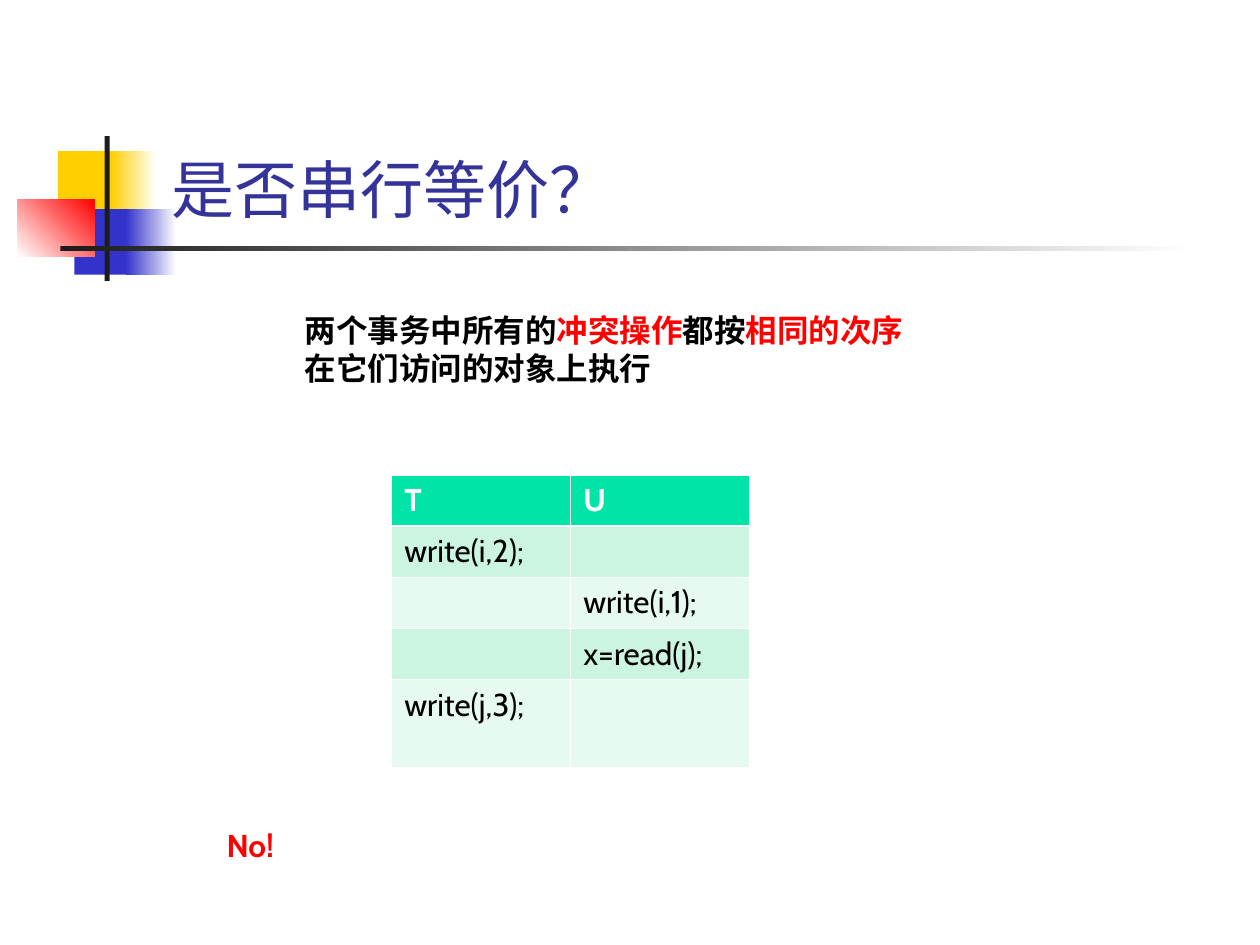
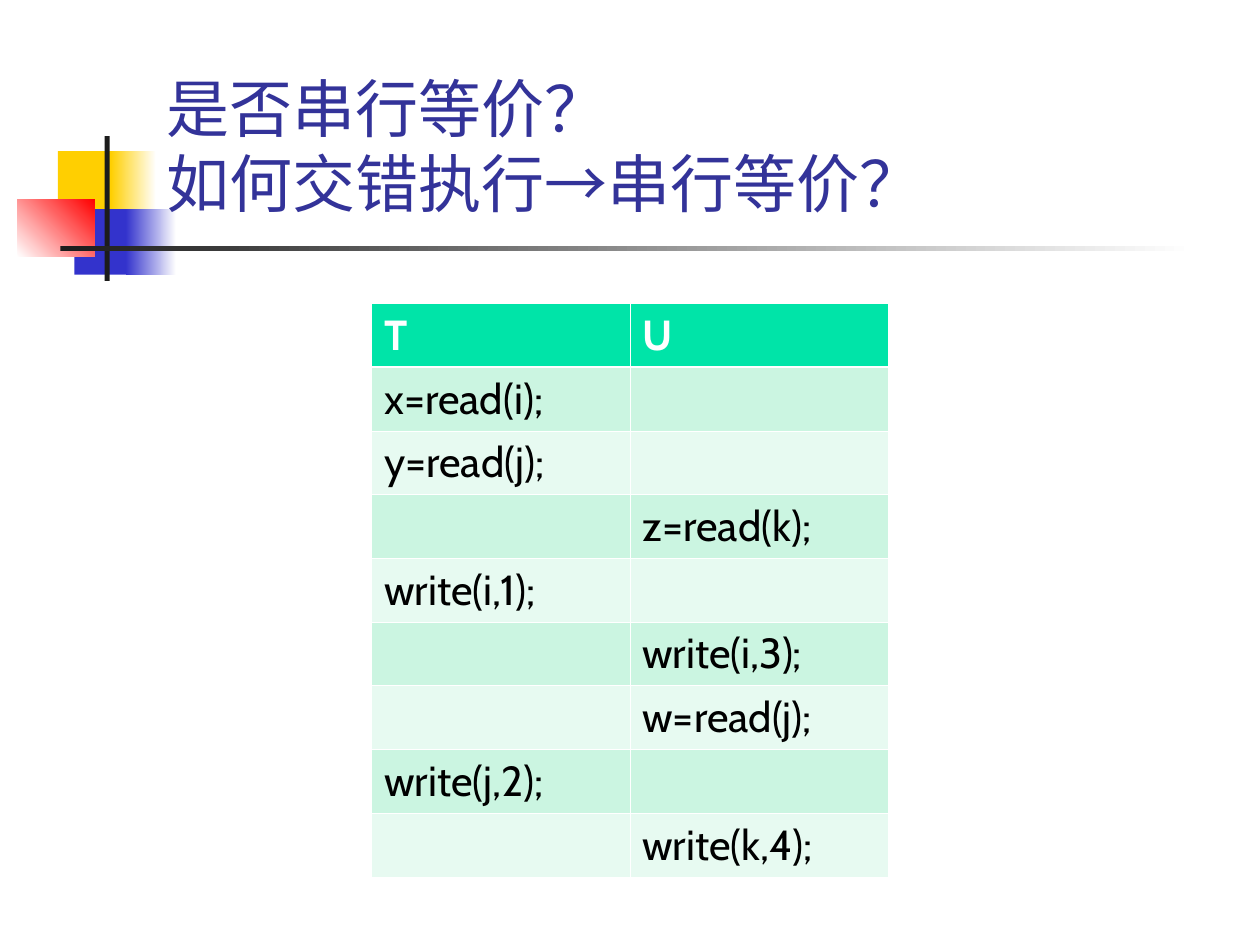
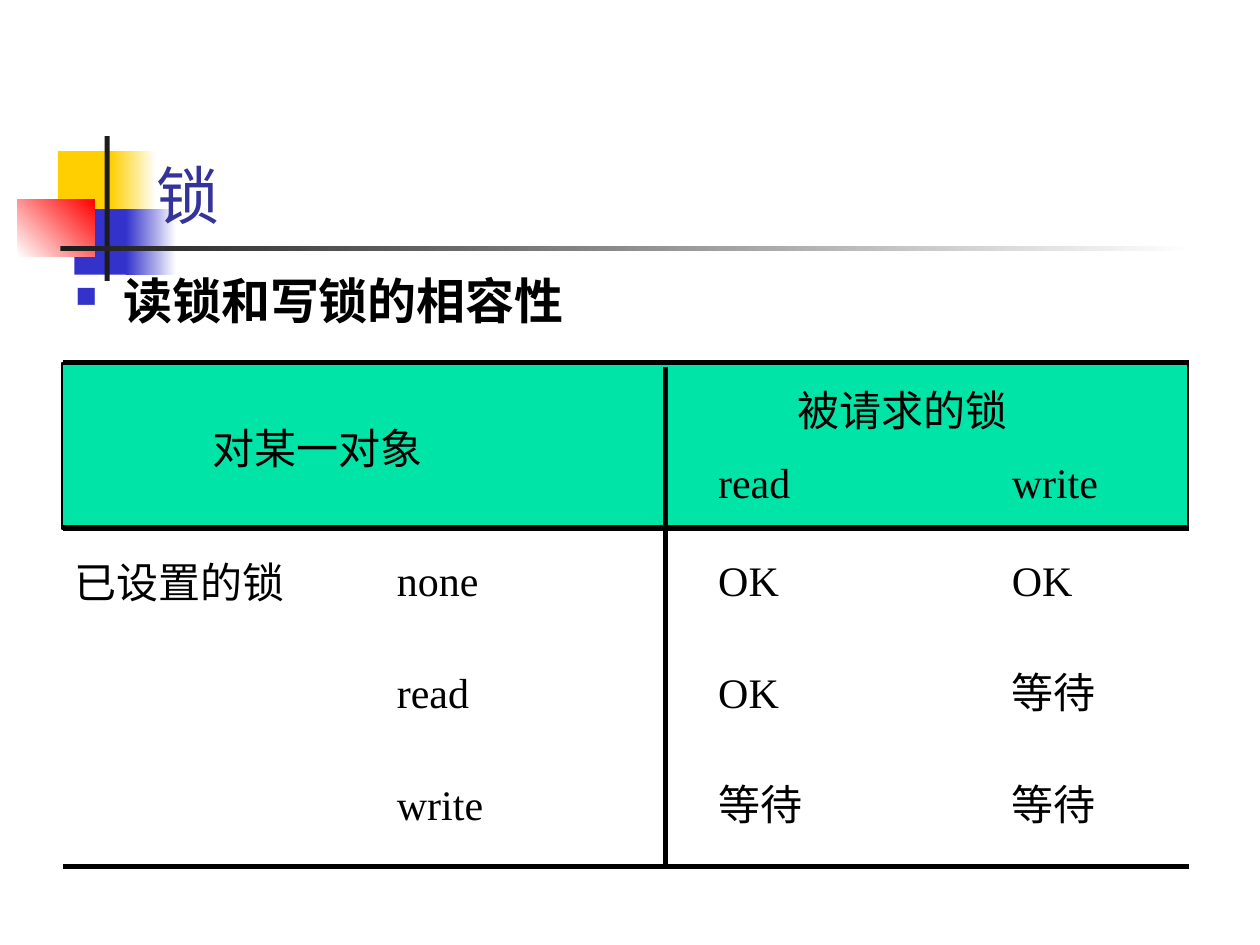
from lxml import etree
from pptx import Presentation
from pptx.dml.color import RGBColor
from pptx.enum.shapes import MSO_CONNECTOR, MSO_SHAPE
from pptx.enum.text import MSO_ANCHOR, MSO_AUTO_SIZE
from pptx.oxml.ns import qn
from pptx.util import Inches, Pt

BLACK = RGBColor(0x00, 0x00, 0x00)
WHITE = RGBColor(0xFF, 0xFF, 0xFF)
RED = RGBColor(0xFF, 0x00, 0x00)
GOLD = RGBColor(0xFF, 0xCF, 0x01)
BLUE = RGBColor(0x33, 0x33, 0xCC)
NAVY = RGBColor(0x33, 0x33, 0x99)
DARK = RGBColor(0x1C, 0x1C, 0x1C)
GREEN = RGBColor(0x00, 0xE4, 0xA8)
MINT = RGBColor(0xCB, 0xF5, 0xE1)
PALE = RGBColor(0xE7, 0xFA, 0xF1)

CABIN = "Cabin"
TIMES = "Times New Roman"
WIDTHS = {"read": 0.6, "write": 0.72, "none": 0.68, "OK": 0.52, "等待": 0.69}


def style(font, name, size, color, bold=False):
    font.name = name
    font.size = Pt(size)
    font.color.rgb = color
    font.bold = bold


def add_box(slide, left, top, width, height, fill, end=None, angle=0):
    box = slide.shapes.add_shape(MSO_SHAPE.RECTANGLE, Inches(left), Inches(top),
                                 Inches(width), Inches(height))
    box.shadow.inherit = False
    box.line.fill.background()
    if end is None:
        box.fill.solid()
        box.fill.fore_color.rgb = fill
    else:
        box.fill.gradient()
        box.fill.gradient_angle = angle
        for stop, color in zip(box.fill.gradient_stops, (fill, end)):
            stop.color.rgb = color
    return box


def add_text(slide, left, top, width, height, wrap=True, inset=True):
    box = slide.shapes.add_textbox(Inches(left), Inches(top), Inches(width), Inches(height))
    frame = box.text_frame
    frame.word_wrap = wrap
    frame.auto_size = MSO_AUTO_SIZE.SHAPE_TO_FIT_TEXT
    if not inset:
        frame.margin_left = frame.margin_right = 0
        frame.margin_top = frame.margin_bottom = 0
    return frame


def add_runs(para, parts, size, bold=False):
    for text, name, color in parts:
        for row, line in enumerate(text.split("\n")):
            if row:
                para.add_line_break()
            run = para.add_run()
            run.text = line
            style(run.font, name, size, color, bold)


def add_title(slide, left, top, width, height, *parts):
    frame = add_text(slide, left, top, width, height)
    frame.auto_size = MSO_AUTO_SIZE.NONE
    frame.vertical_anchor = MSO_ANCHOR.BOTTOM
    add_runs(frame.paragraphs[0], [(text, name, NAVY) for text, name in parts], 36)


def add_slide(deck):
    slide = deck.slides.add_slide(deck.slide_layouts[6])
    add_box(slide, 0.46, 1.2, 0.48, 0.52, GOLD)
    add_box(slide, 0.88, 1.2, 0.36, 0.52, GOLD, WHITE)
    add_box(slide, 0.59, 1.66, 0.46, 0.52, BLUE)
    add_box(slide, 1, 1.66, 0.4, 0.52, BLUE, WHITE)
    add_box(slide, 0.14, 1.58, 0.61, 0.46, WHITE, RED, 45)
    add_box(slide, 0.83, 1.08, 0.04, 1.15, DARK)
    add_box(slide, 0.48, 1.95, 9, 0.04, DARK, WHITE)
    return slide


def set_edges(cell, row):
    props = cell._tc.get_or_add_tcPr()
    thick = {0: "b", 1: "t"}.get(row)
    for spot, side in enumerate("lrtb"):
        width = 1.47 if side == thick else 0.45
        edge = etree.Element(qn(f"a:ln{side.upper()}"), w=str(Pt(width)))
        fill = etree.SubElement(edge, qn("a:solidFill"))
        etree.SubElement(fill, qn("a:srgbClr"), val=str(WHITE))
        props.insert(spot, edge)


def add_steps(slide, left, top, col, heights, size, steps):
    rows = [("T", "U")] + [(text, "") if who == "T" else ("", text) for who, text in steps]
    table = slide.shapes.add_table(len(rows), 2, Inches(left), Inches(top),
                                   Inches(2 * col), Inches(sum(heights))).table
    for column in table.columns:
        column.width = Inches(col)
    for r, texts in enumerate(rows):
        table.rows[r].height = Inches(heights[r])
        for c, text in enumerate(texts):
            cell = table.cell(r, c)
            cell.fill.solid()
            cell.fill.fore_color.rgb = GREEN if r == 0 else (PALE, MINT)[r % 2]
            set_edges(cell, r)
            if text:
                cell.text_frame.text = text
                style(cell.text_frame.paragraphs[0].runs[0].font, CABIN, size,
                      BLACK if r else WHITE, r == 0)


def add_label(slide, left, top, text):
    width = WIDTHS.get(text, len(text) / 3 + 0.02)
    frame = add_text(slide, left, top, width, 0.4, wrap=False, inset=False)
    frame.text = text
    style(frame.paragraphs[0].runs[0].font, TIMES, 24, BLACK)


def add_rule(slide, x1, y1, x2, y2):
    rule = slide.shapes.add_connector(MSO_CONNECTOR.STRAIGHT, Inches(x1), Inches(y1),
                                      Inches(x2), Inches(y2))
    rule.line.color.rgb = BLACK
    rule.line.width = Pt(3)
    etree.SubElement(rule._element.spPr, qn("a:effectLst"))


def add_bullet(slide, text):
    para = add_text(slide, 0.5, 2.15, 5, 0.52).paragraphs[0]
    para.text = text
    para.line_spacing = 0.9
    props = para._p.get_or_add_pPr()
    props.set("marL", str(Inches(0.38)))
    props.set("indent", str(Inches(-0.38)))
    color = etree.SubElement(props, qn("a:buClr"))
    etree.SubElement(color, qn("a:srgbClr"), val=str(BLUE))
    etree.SubElement(props, qn("a:buSzPct"), val="60000")
    etree.SubElement(props, qn("a:buFont"), typeface="Wingdings", charset="2")
    etree.SubElement(props, qn("a:buChar"), char="n")
    style(para.runs[0].font, TIMES, 28, BLACK, True)


def add_check(deck):
    slide = add_slide(deck)
    add_title(slide, 1.26, 0.24, 8.52, 1.6, ("是否串行等价？", CABIN))
    add_steps(slide, 3.11, 3.77, 1.42, [0.4] * 4 + [0.7], 18, [
        ("T", "write(i,2);"), ("U", "write(i,1);"),
        ("U", "x=read(j);"), ("T", "write(j,3);")])
    rule = add_text(slide, 2.32, 2.42, 5, 0.7)
    add_runs(rule.paragraphs[0], [
        ("两个事务中所有的", TIMES, BLACK), ("冲突操作", TIMES, RED),
        ("都按", TIMES, BLACK), ("相同的次序", TIMES, RED),
        ("在它们访问的对象上执行", TIMES, BLACK)], 18, True)
    reply = add_text(slide, 1.7, 6.51, 0.63, 0.4, wrap=False)
    add_runs(reply.paragraphs[0], [("No!", CABIN, RED)], 18, True)


def add_order(deck):
    slide = add_slide(deck)
    add_title(slide, 1.22, 0.2, 8.52, 1.6, ("是否串行等价？\n如何交错执行", CABIN),
              ("→", "Arial"), ("串行等价？", CABIN))
    add_steps(slide, 2.95, 2.41, 2.05, [4.55 / 9] * 9, 24, [
        ("T", "x=read(i);"), ("T", "y=read(j);"), ("U", "z=read(k);"),
        ("T", "write(i,1);"), ("U", "write(i,3);"), ("U", "w=read(j);"),
        ("T", "write(j,2);"), ("U", "write(k,4);")])


def add_locks(deck):
    slide = add_slide(deck)
    head = add_box(slide, 0.49, 2.88, 8.94, 1.32, GREEN)
    head.line.color.rgb = BLACK
    head.line.width = Pt(1)
    add_title(slide, 1.14, 0.91, 7.4, 0.98, ("锁", CABIN))
    add_label(slide, 1.69, 3.35, "对某一对象")
    add_label(slide, 6.33, 3.05, "被请求的锁")
    add_label(slide, 0.59, 4.42, "已设置的锁")
    cols = (3.15, 5.7, 8.03)
    for left, text in zip(cols[1:], ("read", "write")):
        add_label(slide, left, 3.62, text)
    grid = [("none", "OK", "OK"), ("read", "OK", "等待"), ("write", "等待", "等待")]
    for row, texts in enumerate(grid):
        for left, text in zip(cols, texts):
            add_label(slide, left, 4.4 + 0.89 * row, text)
    for y in (2.88, 4.19, 6.88):
        add_rule(slide, 0.5, y, 9.44, y)
    add_rule(slide, 5.28, 2.91, 5.28, 6.88)
    add_bullet(slide, "读锁和写锁的相容性")


def main():
    deck = Presentation()
    deck.slide_width = Inches(10)
    deck.slide_height = Inches(7.5)
    add_check(deck)
    add_order(deck)
    add_locks(deck)
    deck.save("out.pptx")


if __name__ == "__main__":
    main()
